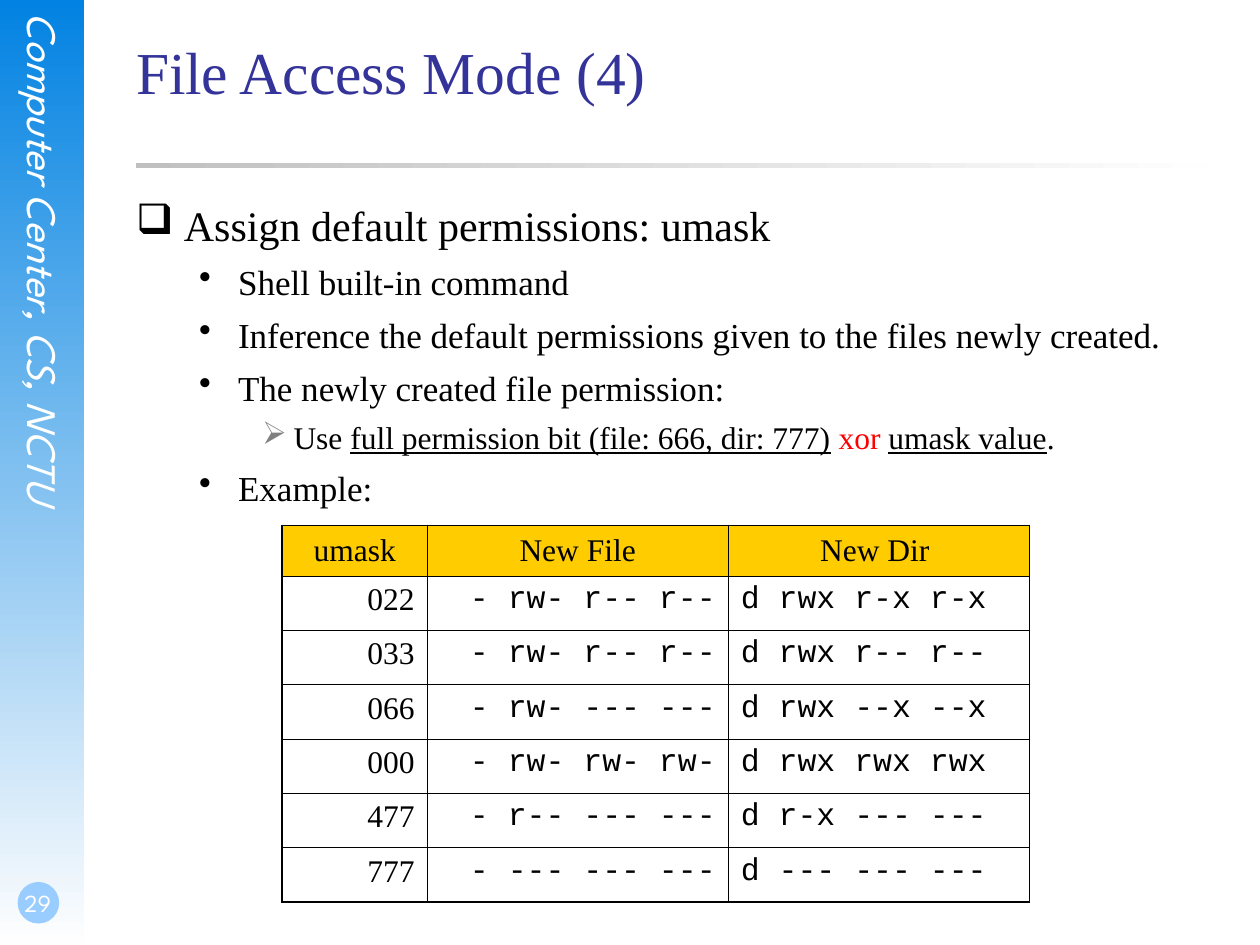
from dataclasses import dataclass
from lxml.etree import SubElement
from pptx import Presentation
from pptx.dml.color import RGBColor
from pptx.enum.shapes import MSO_SHAPE
from pptx.enum.text import MSO_ANCHOR, PP_ALIGN
from pptx.oxml.ns import qn
from pptx.util import Inches, Pt

BLACK = RGBColor(0x00, 0x00, 0x00)
WHITE = RGBColor(0xFF, 0xFF, 0xFF)
PEARL = RGBColor(0xFE, 0xFE, 0xFE)
SILVER = RGBColor(0xC0, 0xC0, 0xC0)
GRAY = RGBColor(0x80, 0x80, 0x80)
BLUE = RGBColor(0x02, 0x82, 0xE2)
SKY = RGBColor(0x99, 0xCC, 0xFF)
NAVY = RGBColor(0x33, 0x33, 0x99)
RED = RGBColor(0xFF, 0x00, 0x00)
GOLD = RGBColor(0xFF, 0xCC, 0x00)

SERIF, MONO, SANS = "Times New Roman", "Courier New", "League Spartan"
THIN, THICK = Pt(0.45), Pt(1.08)


@dataclass
class Box:
    left: float
    top: float
    width: float
    height: float

    def emu(self) -> list:
        return [Inches(n) for n in (self.left, self.top, self.width, self.height)]


@dataclass
class Level:
    mark: str
    tint: RGBColor
    left: float
    hang: float
    size: int
    gap: float


@dataclass
class Point:
    level: Level
    runs: list


TOP = Level("❑", BLACK, 0.38, 0.38, 24, 7.5)
MID = Level("•", BLACK, 0.81, 0.31, 20, 6.2)
LOW = Level("➢", GRAY, 1.25, 0.25, 18, 5.6)

LINE = {"underline": True}
POINTS = [
    Point(TOP, [("Assign default permissions: umask", {})]),
    Point(MID, [("Shell built-in command", {})]),
    Point(MID, [("Inference the default permissions given to the files newly created.", {})]),
    Point(MID, [("The newly created file permission:", {})]),
    Point(LOW, [("Use ", {}), ("full permission bit (file: 666, dir: 777)", LINE),
                (" ", {}), ("xor ", {"color": RED}), ("umask value", LINE), (".", {})]),
    Point(MID, [("Example:", {})]),
]

HEADS = ["umask", "New File", "New Dir "]
MODES = [
    ("022", "- rw- r-- r--", "d rwx r-x r-x"),
    ("033", "- rw- r-- r--", "d rwx r-- r--"),
    ("066", "- rw- --- ---", "d rwx --x --x"),
    ("000", "- rw- rw- rw-", "d rwx rwx rwx"),
    ("477", "- r-- --- ---", "d r-x --- ---"),
    ("777", "- --- --- ---", "d --- --- ---"),
]


def add_run(para, text: str, style: dict) -> None:
    run = para.add_run()
    run.text = text
    for key, value in style.items():
        if key == "color":
            run.font.color.rgb = value
        else:
            setattr(run.font, key, value)


def add_frame(slide, box: Box, **style):
    """Add a wrapping text box without insets and return its text frame."""
    frame = slide.shapes.add_textbox(*box.emu()).text_frame
    values = {"word_wrap": True, "margin_left": 0, "margin_top": 0,
              "margin_right": 0, "margin_bottom": 0, **style}
    for key, value in values.items():
        setattr(frame, key, value)
    return frame


def add_block(slide, kind, box: Box):
    shape = slide.shapes.add_shape(kind, *box.emu())
    shape.shadow.inherit = False
    shape.line.fill.background()
    return shape


def add_fade(slide, box: Box, start: RGBColor, end: RGBColor, angle: int) -> None:
    fill = add_block(slide, MSO_SHAPE.RECTANGLE, box).fill
    fill.gradient()
    fill.gradient_angle = angle
    for stop, color in zip(fill.gradient_stops, (start, end)):
        stop.color.rgb = color


def add_side(slide) -> None:
    add_fade(slide, Box(0, 0, 0.67, 7.5), BLUE, PEARL, 270)
    style = {"name": SANS, "color": WHITE}

    frame = add_frame(slide, Box(0.15, 0.1, 0.4, 5.11))
    frame._txBody.bodyPr.set("vert", "eaVert")
    para = frame.paragraphs[0]
    para.alignment = PP_ALIGN.CENTER
    add_run(para, "Computer Center, CS, NCTU", {**style, "size": Pt(24), "italic": True})

    disc = add_block(slide, MSO_SHAPE.OVAL, Box(0.14, 7, 0.33, 0.33))
    disc.fill.solid()
    disc.fill.fore_color.rgb = SKY
    frame = add_frame(slide, Box(0, 6.83, 0.58, 0.5), margin_left=Inches(0.02),
                      margin_bottom=Inches(0.05), vertical_anchor=MSO_ANCHOR.BOTTOM)
    para = frame.paragraphs[0]
    para.alignment = PP_ALIGN.CENTER
    add_run(para, "29", {**style, "size": Pt(14)})


def set_mark(para, level: Level) -> None:
    props = para._p.get_or_add_pPr()
    props.set("marL", str(Inches(level.left)))
    props.set("indent", str(-Inches(level.hang)))
    tint = SubElement(props, qn("a:buClr"))
    SubElement(tint, qn("a:srgbClr"), val=str(level.tint))
    SubElement(props, qn("a:buChar"), char=level.mark)


def add_body(slide) -> None:
    frame = add_frame(slide, Box(1.08, 1.58, 8.5, 5.08))
    for i, point in enumerate(POINTS):
        para = frame.add_paragraph() if i else frame.paragraphs[0]
        level = point.level
        para.level = (TOP, MID, LOW).index(level)
        set_mark(para, level)
        if i:
            para.space_before = Pt(level.gap)
        base = {"name": SERIF, "size": Pt(level.size), "color": BLACK}
        for text, extra in point.runs:
            add_run(para, text, {**base, **extra})


def set_edges(cell, edges: dict) -> None:
    props = cell._tc.get_or_add_tcPr()
    for side, width in edges.items():
        line = SubElement(props, qn(f"a:ln{side}"), w=str(width))
        fill = SubElement(line, qn("a:solidFill"))
        SubElement(fill, qn("a:srgbClr"), val=str(BLACK))


def add_modes(slide) -> None:
    """Add the table: thick lines outside, thin lines inside."""
    rows = [HEADS, *MODES]
    box = Box(2.24, 4.17, 5.93, 2.99)
    table = slide.shapes.add_table(len(rows), len(HEADS), *box.emu()).table
    table.first_row = table.horz_banding = False
    for col, width in zip(table.columns, (1.15, 2.39, 2.39)):
        col.width = Inches(width)
    head = 0.4
    for r, texts in enumerate(rows):
        step = (box.height - head) / len(MODES)
        table.rows[r].height = Inches(step if r else head)
        for c, text in enumerate(texts):
            cell = table.cell(r, c)
            outer = {"L": c == 0, "R": c == len(HEADS) - 1,
                     "T": r == 0, "B": r == len(MODES)}
            set_edges(cell, {side: THICK if edge else THIN for side, edge in outer.items()})
            para = cell.text_frame.paragraphs[0]
            if r:
                cell.fill.background()
                para.alignment = PP_ALIGN.LEFT if c == 2 else PP_ALIGN.RIGHT
            else:
                cell.fill.solid()
                cell.fill.fore_color.rgb = GOLD
                cell.vertical_anchor = MSO_ANCHOR.MIDDLE
                para.alignment = PP_ALIGN.CENTER
            face = MONO if r and c else SERIF
            add_run(para, text, {"name": face, "size": Pt(18), "color": BLACK})


def main() -> None:
    deck = Presentation()
    deck.slide_width, deck.slide_height = Inches(10), Inches(7.5)
    slide = deck.slides.add_slide(deck.slide_layouts[6])
    add_side(slide)
    add_fade(slide, Box(1.08, 1.29, 8.5, 0.04), PEARL, SILVER, 180)
    title = add_frame(slide, Box(1.08, 0.28, 8.5, 1.25))
    add_run(title.paragraphs[0], "File Access Mode (4)",
            {"name": SERIF, "size": Pt(34), "color": NAVY})
    add_body(slide)
    add_modes(slide)
    deck.save("out.pptx")


if __name__ == "__main__":
    main()
